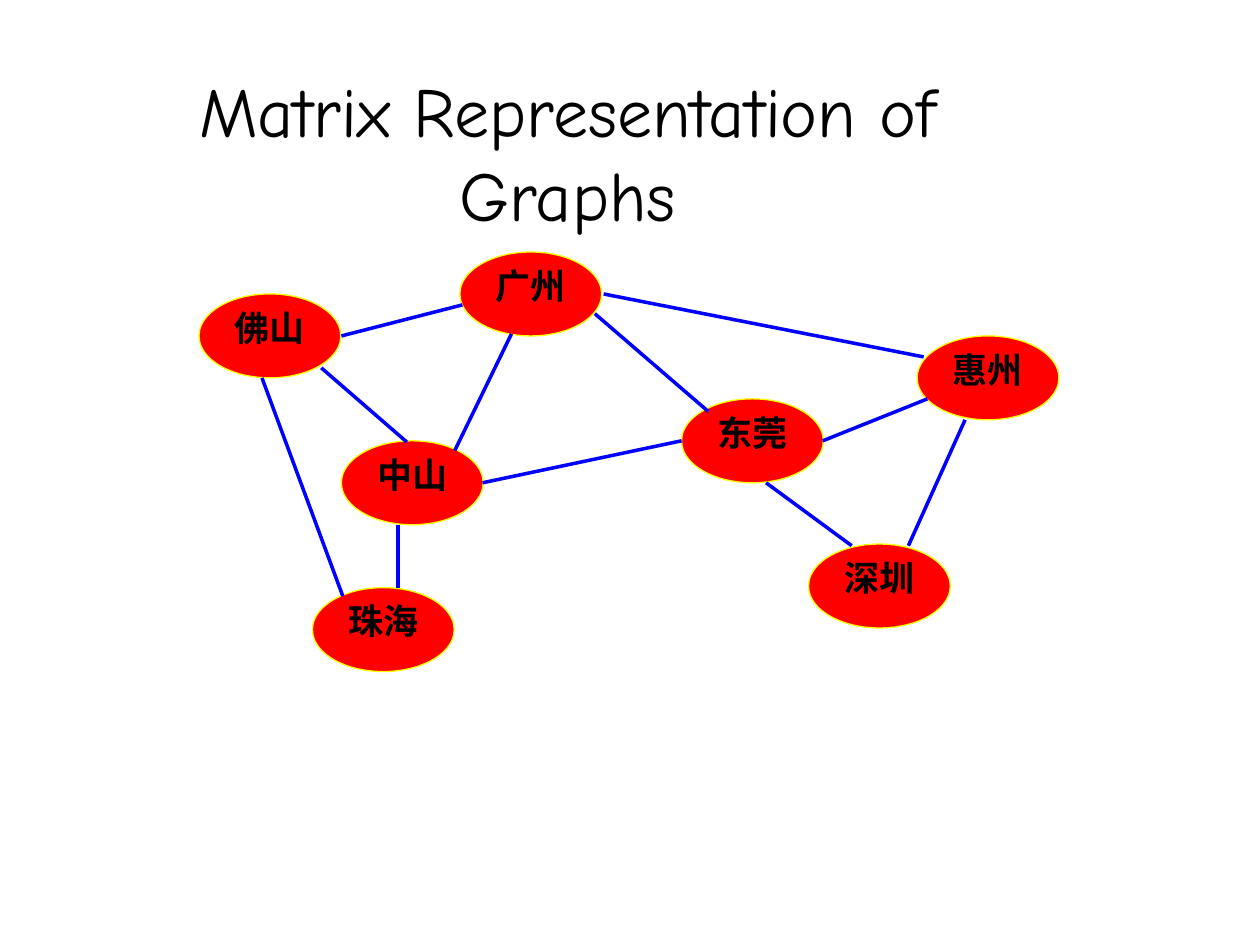
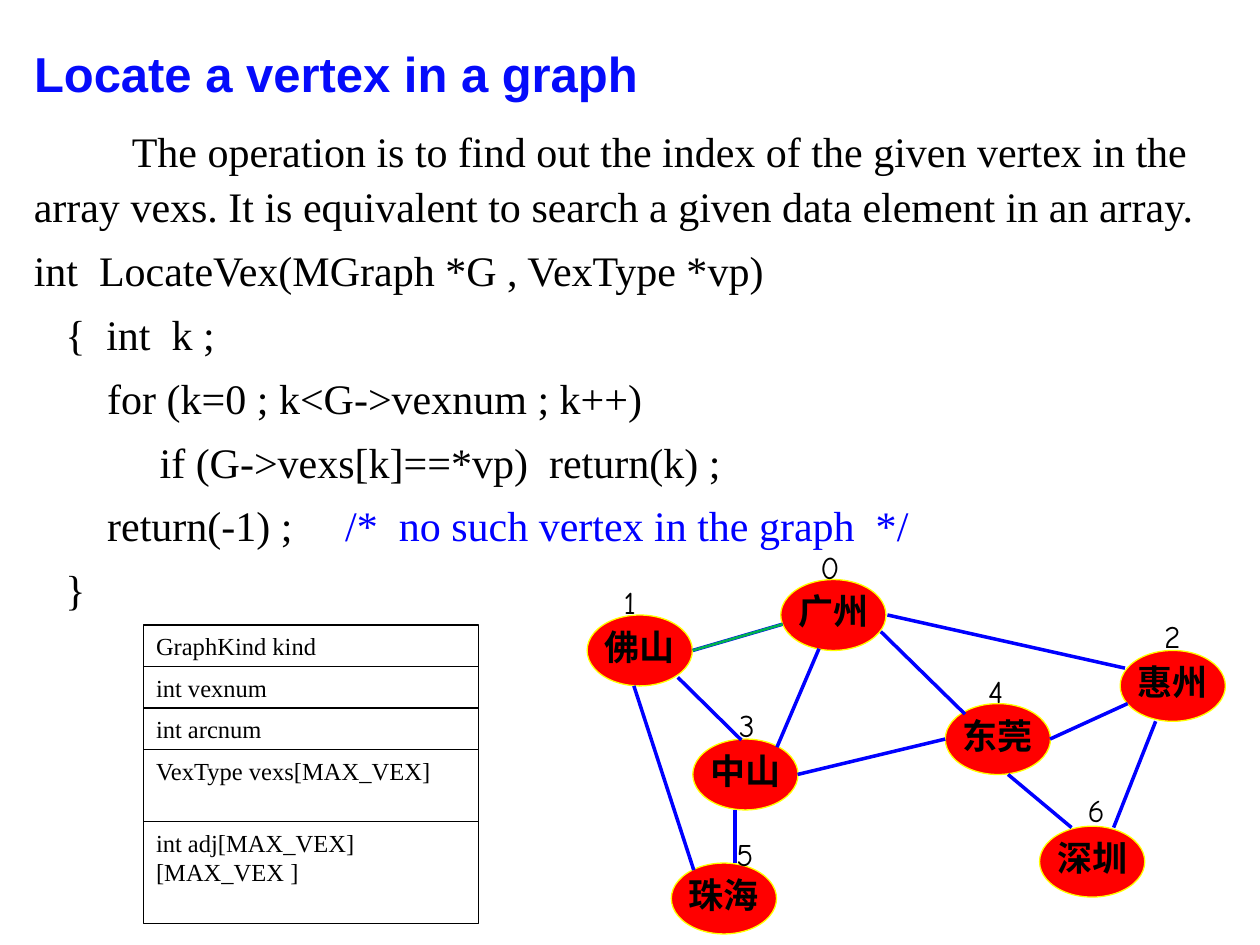
"""Build two slides on graphs: the city graph and how to locate a vertex in it."""
import pptx
import pptx.util
import pptx.dml.color
import pptx.enum.shapes
import pptx.enum.text
import pptx.oxml.ns
import lxml.etree

INK = {"text": "000000", "node": "FF0000", "rim": "FFFF00", "edge": "0000FF",
       "mark": "00B050", "head": "050BFB"}
RGB = pptx.dml.color.RGBColor.from_string
Pt = pptx.util.Pt
ALIGN = pptx.enum.text.PP_ALIGN
ANCHOR = pptx.enum.text.MSO_ANCHOR
SHAPE = pptx.enum.shapes.MSO_SHAPE

deck = pptx.Presentation()
deck.slide_width = pptx.util.Inches(10)
deck.slide_height = pptx.util.Inches(7.5)


def area(*share):
    """Turn percentages of the slide (x, y, x, y) into lengths."""
    sides = (deck.slide_width, deck.slide_height) * 2
    return [round(side * part / 100) for side, part in zip(sides, share)]


def put(shape, text, size=24, font="Times New Roman", ink="text", bold=False,
        align=ALIGN.LEFT, anchor=ANCHOR.TOP, inset=None, line=None, gap=0):
    """Write text into a shape, with code comments in the edge colour."""
    frame = shape.text_frame
    frame.word_wrap = True
    frame.auto_size = pptx.enum.text.MSO_AUTO_SIZE.NONE
    frame.vertical_anchor = anchor
    if inset is not None:
        frame.margin_left = frame.margin_right = Pt(inset)
        frame.margin_top = frame.margin_bottom = Pt(inset)
    for i, row in enumerate(text.split("\n")):
        para = frame.add_paragraph() if i else frame.paragraphs[0]
        para.alignment = align
        para.space_before = Pt(gap if i else 0)
        if line:
            para.line_spacing = line
        code, sign, note = row.partition("/*")
        for part, tint in ((code, ink), (sign + note, "edge")):
            if part:
                run = para.add_run()
                run.text = part
                run.font.size = Pt(size)
                run.font.name = font
                run.font.bold = bold
                run.font.color.rgb = RGB(INK[tint])
    return frame


heads = [
    ("Matrix Representation of Graphs", (7.5, 2.27, 75.1, 23.33),
     dict(size=40, font="Comic Neue", align=ALIGN.CENTER, anchor=ANCHOR.BOTTOM)),
    ("Locate a vertex in a graph", (1.7, 3.3, 96.7, 8),
     dict(size=28, font="Arial", ink="head", bold=True, line=1.1)),
]
pages = []
for text, spot, style in heads:
    page = deck.slides.add_slide(deck.slide_layouts[5])
    title = page.shapes.title
    title.left, title.top, title.width, title.height = area(*spot)
    put(title, text, **style)
    pages.append(page)
first, second = pages

code = """The operation is to find out the index of the given vertex in the array vexs. It is equivalent to search a given data element in an array.
int  LocateVex(MGraph *G , VexType *vp)
   {  int  k ;
       for (k=0 ; k<G->vexnum ; k++)
            if (G->vexs[k]==*vp)  return(k) ;
       return(-1) ;     /*  no such vertex in the graph  */
   }"""
body = second.shapes.add_textbox(*area(1.7, 12.1, 96.7, 80.7))
frame = put(body, code, line=1.1, gap=4.8)
frame.paragraphs[0]._p.get_or_add_pPr().set("indent", str(Pt(56)))

cities = [
    ("佛山", 0, 1, "1", 1.15, 1.07),
    ("惠州", 25.33, 2, "2", 1.5, 1.13),
    ("广州", 9.2, 0, "0", 1.3, 1.08),
    ("中山", 5.02, 4.5, "3", 1.6, 1.1),
    ("东莞", 17.02, 3.5, "4", 1.45, 1.07),
    ("深圳", 21.5, 6.96, "6", 1.7, 1.17),
    ("珠海", 4, 8, "5", 2.5, 0.96),
]
roads = [
    (7.02, 8, 7.02, 6.5), (7.33, 4.53, 4.31, 2.76), (17.02, 4.5, 10, 5.5),
    (17.96, 3.8, 13.96, 1.47), (23.02, 7, 20, 5.5), (25.02, 7, 27.02, 4),
    (25.56, 2.5, 14.27, 1), (9.02, 4.73, 11.02, 1.95), (25.69, 3.5, 22, 4.5),
    (5.07, 8.2, 2.22, 3), (9.29, 1.26, 5.02, 2),
]
grids = [(first, 15.8, 26.67, 2.25, 4.44), (second, 46.6, 61.33, 1.67, 3.75)]
for page, left, top, col, row in grids:
    for name, x, y, *_ in cities:
        node = page.shapes.add_shape(SHAPE.OVAL, *area(
            left + x * col, top + y * row, 5 * col, 2 * row))
        node.shadow.inherit = False
        node.fill.solid()
        node.fill.fore_color.rgb = RGB(INK["node"])
        node.line.color.rgb = RGB(INK["rim"])
        node.line.width = Pt(0.75)
        put(node, name, size=20, bold=True, align=ALIGN.CENTER, inset=0)

    lines = [(road, "edge", 2) for road in roads]
    if page is second:
        lines.append((roads[-1], "mark", 1.5))
    for (x, y, u, v), ink, width in lines:
        edge = page.shapes.add_connector(
            pptx.enum.shapes.MSO_CONNECTOR.STRAIGHT,
            *area(left + x * col, top + y * row, left + u * col, top + v * row))
        edge.line.color.rgb = RGB(INK[ink])
        edge.line.width = Pt(width)
        lxml.etree.SubElement(edge._element.spPr, pptx.oxml.ns.qn("a:effectLst"))

    if page is second:
        for _, x, y, index, right, up in cities:
            label = page.shapes.add_textbox(*area(
                left + (x + right) * col, top + (y - up) * row, 3.3, 5.33))
            put(label, index, size=18, font="Comic Neue")

fields = [("GraphKind kind", 4.4), ("int vexnum", 4.4), ("int arcnum", 4.4),
          ("VexType vexs[MAX_VEX]", 7.6), ("int adj[MAX_VEX][MAX_VEX ]", 10.8)]
top = 66.13
for text, high in fields:
    cell = second.shapes.add_shape(SHAPE.RECTANGLE, *area(11.4, top, 26.6, high))
    cell.shadow.inherit = False
    cell.fill.background()
    cell.line.color.rgb = RGB(INK["text"])
    cell.line.width = Pt(0.75)
    put(cell, text, size=14)
    top += high

deck.save("out.pptx")
